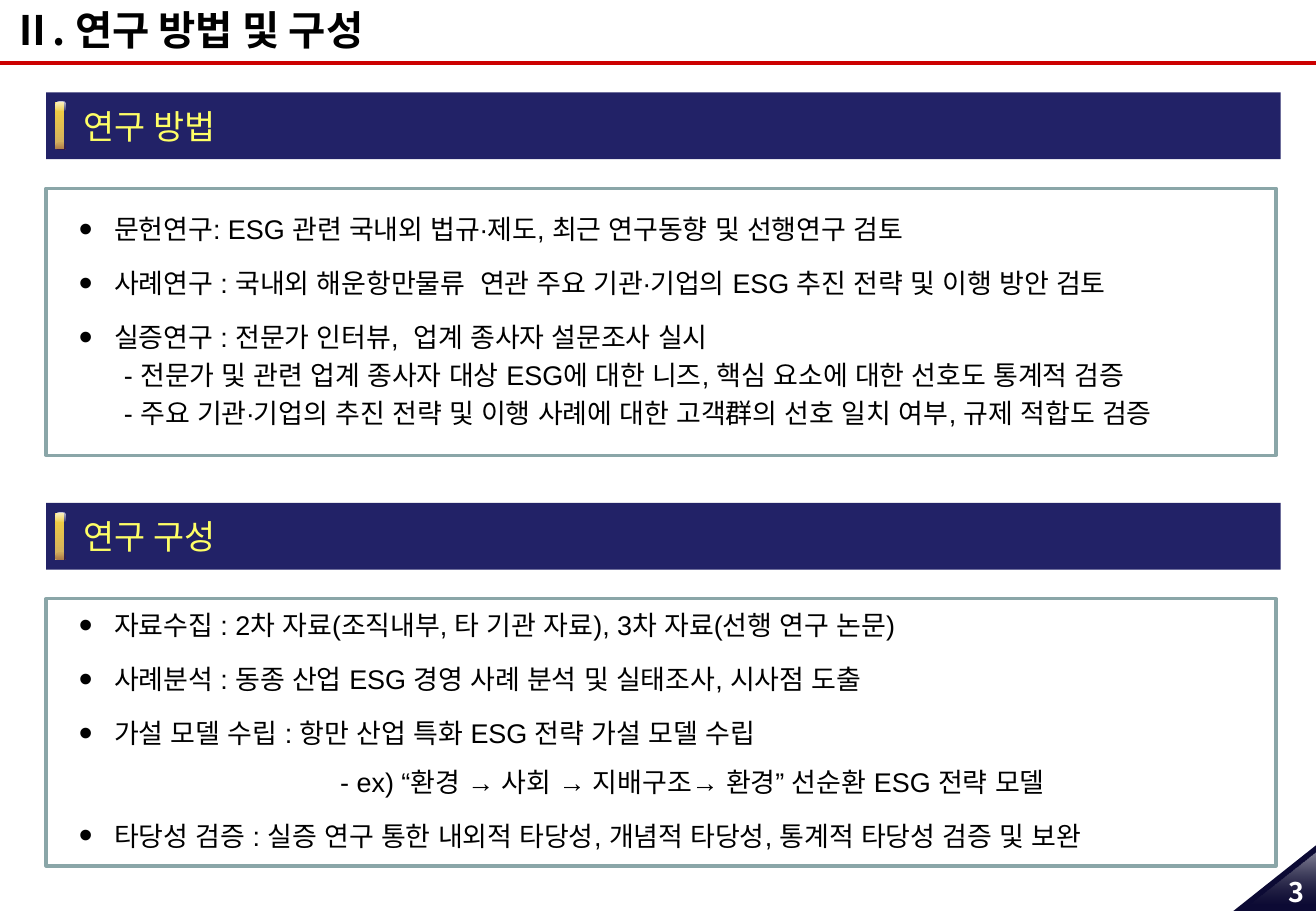
from dataclasses import dataclass

from lxml.etree import SubElement
from pptx import Presentation
from pptx.dml.color import RGBColor
from pptx.enum.shapes import MSO_CONNECTOR as Connector, MSO_SHAPE as Shape
from pptx.enum.text import MSO_ANCHOR as Anchor, PP_ALIGN as Align
from pptx.oxml import parse_xml
from pptx.oxml.ns import nsdecls, qn
from pptx.util import Inches, Pt


@dataclass(frozen=True)
class Theme:
    """Colours, fonts and type sizes of the slide."""
    heading_font: str = "Noto Sans CJK KR"
    body_font: str = "Arial"
    title_size: int = 24
    banner_size: int = 20
    body_size: int = 16
    black: str = "000000"
    white: str = "FFFFFF"
    red: str = "CC0000"
    navy: str = "222267"
    yellow: str = "FFFF66"
    frame: str = "8AA6A8"
    corner: str = "0C0A34"
    gold: tuple = (("F4D13E", 100), ("CEAB64", 100))
    shine: tuple = (("FFFFFF", 79), ("FFFFFF", 0))
    shade: tuple = (("740A0A", 0), ("580808", 35))
    corner_glow: tuple = (("FFFFFF", 51), ("767676", 0))


theme = Theme()


def paint(shape, fill):
    """Fill a shape with a colour or a downward gradient, without line or shadow."""
    shape.shadow.inherit = False
    shape.line.fill.background()
    if isinstance(fill, str):
        shape.fill.solid()
        shape.fill.fore_color.rgb = RGBColor.from_string(fill)
        return
    shape.fill.gradient()
    shape.fill.gradient_angle = 270
    for stop, (color, opacity) in zip(shape.fill.gradient_stops, fill):
        stop.color.rgb = RGBColor.from_string(color)
        color_element = stop._gs.find(qn("a:srgbClr"))
        SubElement(color_element, qn("a:alpha")).set("val", str(opacity * 1000))


def write(paragraph, text, size, color, font, bold=False, shadow=False):
    """Put one run in a paragraph, in one font for Latin and Korean text."""
    run = paragraph.add_run()
    run.text = text
    paragraph.font.size = Pt(size)
    paragraph.font.bold = bold
    paragraph.font.name = font
    paragraph.font.color.rgb = RGBColor.from_string(color)
    properties = run._r.get_or_add_rPr()
    if shadow:
        properties.append(parse_xml(
            f'<a:effectLst {nsdecls("a")}><a:outerShdw dist="35921" dir="2700000">'
            '<a:srgbClr val="000000"/></a:outerShdw></a:effectLst>'))
    SubElement(properties, qn("a:ea")).set("typeface", font)


presentation = Presentation()
presentation.slide_width, presentation.slide_height = Inches(10.83), Inches(7.5)
slide = presentation.slides.add_slide(presentation.slide_layouts[6])
shapes = slide.shapes

# Title and rule
rule = shapes.add_connector(Connector.STRAIGHT, 0, Inches(0.52), Inches(10.83), Inches(0.52))
rule.line.color.rgb = RGBColor.from_string(theme.red)
rule.line.width = Pt(2.25)
SubElement(rule._element.spPr, qn("a:effectLst"))

title = shapes.add_textbox(Inches(0.1), Inches(0.04), Inches(10.58), Inches(0.4)).text_frame
title.word_wrap = True
title.vertical_anchor = Anchor.MIDDLE
title.margin_left = title.margin_right = title.margin_top = title.margin_bottom = 0
write(title.paragraphs[0], "Ⅱ. 연구 방법 및 구성", theme.title_size, theme.black,
      theme.heading_font, bold=True)

# Sections: banner top, heading, frame top, text top, lines as (kind, text)
sections = [
    (0.76, "연구 방법", 1.55, 1.62, [
        ("bullet", "문헌연구: ESG 관련 국내외 법규∙제도, 최근 연구동향 및 선행연구 검토"),
        ("bullet", "사례연구 : 국내외 해운항만물류  연관 주요 기관∙기업의 ESG 추진 전략 및 이행 방안 검토"),
        ("bullet", "실증연구 : 전문가 인터뷰,  업계 종사자 설문조사 실시"),
        ("detail", "- 전문가 및 관련 업계 종사자 대상 ESG에 대한 니즈, 핵심 요소에 대한 선호도 통계적 검증"),
        ("detail", "- 주요 기관∙기업의 추진 전략 및 이행 사례에 대한 고객群의 선호 일치 여부, 규제 적합도 검증"),
    ]),
    (4.14, "연구 구성", 4.93, 4.88, [
        ("bullet", "자료수집 : 2차 자료(조직내부, 타 기관 자료), 3차 자료(선행 연구 논문)"),
        ("bullet", "사례분석 : 동종 산업 ESG 경영 사례 분석 및 실태조사, 시사점 도출"),
        ("bullet", "가설 모델 수립 : 항만 산업 특화 ESG 전략 가설 모델 수립"),
        ("example", "- ex) “환경 → 사회 → 지배구조→ 환경” 선순환 ESG 전략 모델"),
        ("bullet", "타당성 검증 : 실증 연구 통한 내외적 타당성, 개념적 타당성, 통계적 타당성 검증 및 보완"),
    ]),
]
# Left margin, first-line indent, line spacing, space before
line_styles = {
    "bullet": (0.29, -0.29, 1.5, 3.2),
    "detail": (0.37, 0, 1.0, 3.2),
    "example": (2.15, 0, 1.5, 0),
}
# Left, offset from banner top, height, corner radius, gradient
bar_parts = [
    (0.45, 0.08, 0.39, 0.06, theme.gold),
    (0.46, 0.08, 0.07, 0.33, theme.shine),
    (0.46, 0.41, 0.06, 0.31, theme.shade),
]

for banner_top, heading, frame_top, text_top, lines in sections:
    banner = shapes.add_shape(Shape.RECTANGLE, Inches(0.38), Inches(banner_top),
                              Inches(10.16), Inches(0.55))
    paint(banner, theme.navy)
    for left, offset, height, radius, gradient in bar_parts:
        bar = shapes.add_shape(Shape.ROUNDED_RECTANGLE, Inches(left),
                               Inches(banner_top + offset), Inches(0.08), Inches(height))
        bar.adjustments[0] = radius
        paint(bar, gradient)
    heading_frame = shapes.add_textbox(Inches(0.59), Inches(banner_top + 0.06),
                                       Inches(5.61), Inches(0.43)).text_frame
    heading_frame.word_wrap = True
    heading_frame.vertical_anchor = Anchor.MIDDLE
    write(heading_frame.paragraphs[0], heading, theme.banner_size, theme.yellow,
          theme.heading_font, shadow=True)

    frame = shapes.add_shape(Shape.RECTANGLE, Inches(0.38), Inches(frame_top),
                             Inches(10.12), Inches(2.2))
    frame.shadow.inherit = False
    frame.fill.background()
    frame.line.color.rgb = RGBColor.from_string(theme.frame)
    frame.line.width = Pt(2)

    body = shapes.add_textbox(Inches(0.65), Inches(text_top), Inches(9.73), Inches(2)).text_frame
    body.word_wrap = True
    body.margin_left = body.margin_right = body.margin_top = body.margin_bottom = 0
    for index, (kind, text) in enumerate(lines):
        paragraph = body.add_paragraph() if index else body.paragraphs[0]
        margin, indent, spacing, before = line_styles[kind]
        paragraph.line_spacing = spacing
        paragraph.space_before = Pt(before)
        properties = paragraph._p.get_or_add_pPr()
        properties.set("marL", str(Inches(margin)))
        properties.set("indent", str(Inches(indent)))
        if kind == "bullet":
            SubElement(properties, qn("a:buSzPct")).set("val", "145000")
            SubElement(properties, qn("a:buFont")).set("typeface", theme.body_font)
            SubElement(properties, qn("a:buChar")).set("char", "•")
        write(paragraph, text, theme.body_size, theme.black, theme.body_font)

# Page corner: right edge, top, left, bottom, fill
corner_triangles = [
    (10.83, 6.96, 10.15, 7.5, theme.corner),
    (10.83, 7.01, 10.28, 7.45, theme.corner_glow),
]
for right, top, left, bottom, fill in corner_triangles:
    builder = shapes.build_freeform(Inches(right), Inches(top))
    builder.add_line_segments([(Inches(left), Inches(bottom)), (Inches(right), Inches(bottom))])
    paint(builder.convert_to_shape(), fill)

page_number = shapes.add_textbox(Inches(10.49), Inches(7.16), Inches(0.35), Inches(0.37)).text_frame
page_number.word_wrap = False
page_number.paragraphs[0].alignment = Align.CENTER
write(page_number.paragraphs[0], "3", theme.body_size, theme.white, theme.heading_font,
      bold=True, shadow=True)

presentation.save("out.pptx")
